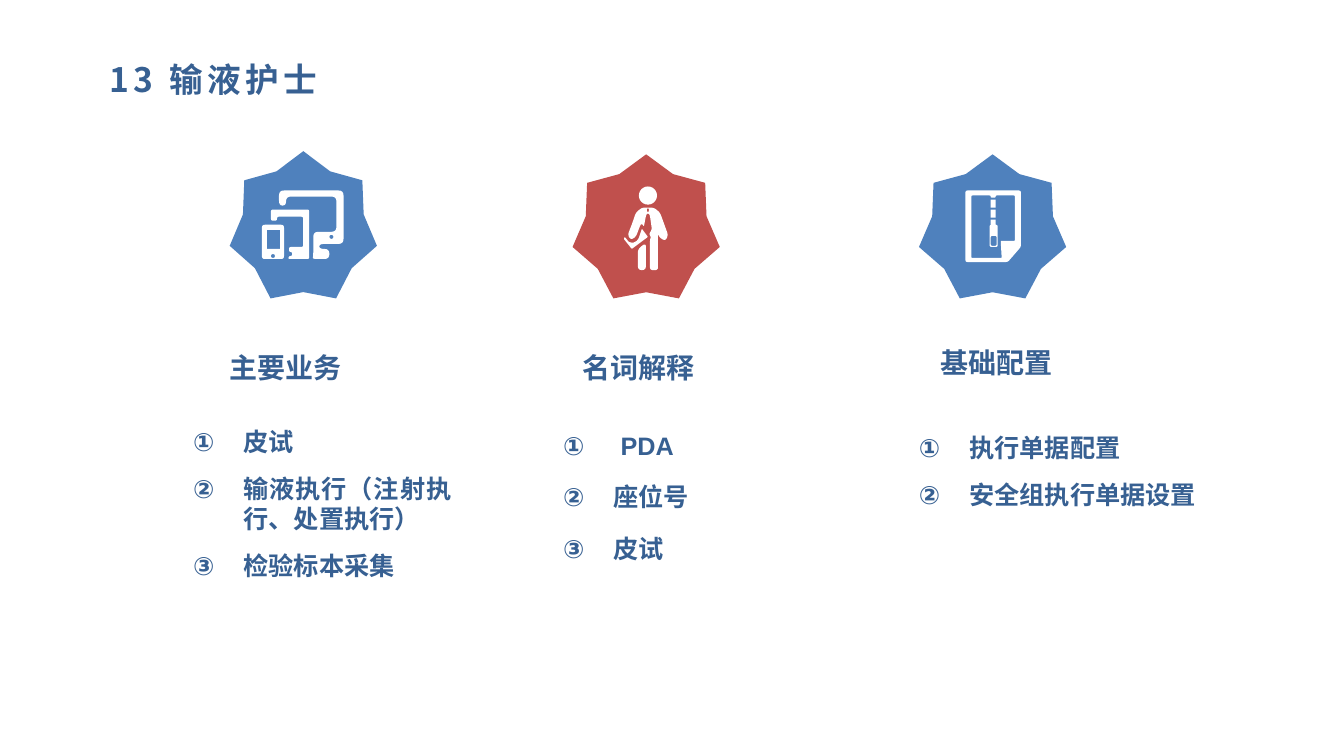
from math import cos, pi, sin

from lxml.etree import SubElement as Sub
from pptx import Presentation
from pptx.dml.color import RGBColor as RGB
from pptx.enum.shapes import MSO_SHAPE as Kind
from pptx.enum.text import PP_ALIGN as Align
from pptx.oxml.ns import qn
from pptx.util import Cm, Pt

COLORS = {"text": "376092", "blue": "4F81BD", "red": "C0504D", "white": "FFFFFF"}
NOTO, ARIAL = "Noto Sans CJK SC", "Arial"
UNIT = Cm(0.0254)  # grid step of the icons


def tint(name):
    return RGB.from_string(COLORS[name])


def disc(x, y, r, steps=24):
    turns = [2 * pi * k / steps for k in range(steps)]
    return [(x + r * cos(a), y + r * sin(a)) for a in turns]


def bend(points, r=2, steps=4):
    """Round the corners of a polygon by at most r."""
    out = []
    for k, (x, y) in enumerate(points):
        ends = []
        for u, v in (points[k - 1], points[(k + 1) % len(points)]):
            size = ((u - x) ** 2 + (v - y) ** 2) ** 0.5
            part = min(r / size, 0.5)
            ends.append((x + (u - x) * part, y + (v - y) * part))
        (ax, ay), (bx, by) = ends
        for t in (i / steps for i in range(steps + 1)):
            p, q, s = (1 - t) ** 2, 2 * t * (1 - t), t * t
            out.append((p * ax + q * x + s * bx, p * ay + q * y + s * by))
    return out


def rect(x, y, w, h, r=0):
    points = [(x, y), (x + w, y), (x + w, y + h), (x, y + h)]
    return bend(points, r) if r else points


def screens():
    tablet = [(9, 30), (9, 19), (47, 19), (47, 68), (26, 68), (27, 65), (30, 65),
              (30, 61), (27, 61), (27, 56), (41, 56), (41, 26), (15, 26), (15, 30)]
    screen = [(17, 15), (17, 0), (81, 0), (81, 53), (57, 53), (57, 58), (67, 58),
              (67, 68), (50, 68), (51, 65), (51, 41), (74, 41), (74, 6), (24, 6),
              (24, 15)]
    return [rect(0, 34, 22, 34, 3), rect(5, 39, 13, 19), disc(11, 65, 2),
            bend(tablet), bend(screen, 5), disc(69, 46, 2)]


def person():
    leg = [(14, 62), (22, 56), (22, 83), (14, 83)]
    board = [(18, 42), (24, 50), (8, 62), (0, 52), (1, 50), (5, 55), (9, 56),
             (13, 54), (15, 51)]
    body = [(18, 21), (30, 21), (36, 26), (44, 48), (42, 53), (39, 53), (35, 50),
            (34, 46), (34, 83), (26, 83), (26, 53), (27, 50), (25, 47), (28, 43),
            (26, 29), (25, 27), (23, 27), (22, 29), (20, 40), (19, 38), (17, 37),
            (12, 50), (7, 53), (4, 48), (9, 35), (12, 26)]
    return [disc(24, 9, 9), bend(leg, 4), bend(board, 1), bend(body, 3),
            rect(23, 22, 2, 3)]


def archive():
    page = [(0, 0), (55, 0), (55, 56), (42, 71), (0, 71)]
    inner = [(6, 5), (25, 5), (25, 7), (30, 7), (30, 5), (49, 5), (49, 50),
             (35, 50), (36, 67), (6, 67)]
    teeth = [rect(25, y, 5, h) for y, h in ((9, 8), (19, 8), (29, 5))]
    return [bend(page), bend(inner, 1), *teeth, rect(24, 34, 8, 22, 2),
            rect(25, 45, 6, 10, 2)]


def paint(shape, color):
    shape.shadow.inherit = False
    shape.fill.solid()
    shape.fill.fore_color.rgb = tint(color)
    shape.line.fill.background()


def draw(shapes, paths, left, top):
    pen = None
    for path in paths:
        (x, y), *rest = [(px * UNIT, py * UNIT) for px, py in path]
        if pen is None:
            pen = shapes.build_freeform(x, y, scale=1.0)
        else:
            pen.move_to(x, y)
        pen.add_line_segments(rest, close=True)
    paint(pen.convert_to_shape(Cm(left), Cm(top)), "white")


def badge(slide, box, color, icon, shift):
    shapes = slide.shapes.add_group_shape().shapes
    star = shapes.add_shape(Kind.STAR_7_POINT, *map(Cm, box))
    star.adjustments[0] = 0.41
    paint(star, color)
    draw(shapes, icon(), box[0] + shift[0], box[1] + shift[1])


def write(para, text, size, face, gap=0):
    run = para.add_run()
    run.text = text
    for key, value in {"size": Pt(size), "bold": True, "name": face}.items():
        setattr(run.font, key, value)
    run.font.color.rgb = tint("text")
    props = run.font._element
    Sub(props, qn("a:ea")).set("typeface", face)
    if gap:
        props.set("spc", str(gap * 100))


def frame(slide, box, wrap=True):
    body = slide.shapes.add_textbox(*map(Cm, box)).text_frame
    body.word_wrap = wrap
    return body


def label(slide, box, text, size=20, gap=0, wrap=False):
    write(frame(slide, box, wrap).paragraphs[0], text, size, NOTO, gap)


def steps(slide, box, items, before=6, align=None, first=1.27):
    """Numbered list; first is the text indent of its first item."""
    body = frame(slide, box)
    for k, text in enumerate(items):
        para = body.add_paragraph() if k else body.paragraphs[0]
        props = para._p.get_or_add_pPr()
        indent = Cm(1.27 if k else first)
        props.set("marL", str(indent))
        props.set("indent", str(-indent))
        Sub(props, qn("a:buAutoNum")).set("type", "circleNumDbPlain")
        form = {"space_after": Pt(6), "alignment": align}
        if k:
            form["space_before"] = Pt(before)
        for key, value in form.items():
            setattr(para, key, value)
        write(para, text, 18, ARIAL)


def column(slide, box, color, icon, shift, title, head, items, area, **form):
    """Badge in box, with head and area as offsets and sizes from its corner."""
    left, top = box[:2]
    badge(slide, box, color, icon, shift)
    label(slide, (left + head[0], top + head[1], *head[2:]), title)
    steps(slide, (left + area[0], top + area[1], *area[2:]), items, **form)


def main():
    deck = Presentation()
    deck.slide_width, deck.slide_height = Cm(33.87), Cm(19.05)
    slide = deck.slides.add_slide(deck.slide_layouts[6])
    label(slide, (2.52, 1.35, 25.67, 1.47), "13 输液护士", 24, 3, True)
    column(slide, (5.79, 3.81, 3.71, 3.71), "blue", screens, (0.81, 0.99),
           "主要业务", (-0.25, 4.9, 6.1, 0.97),
           ["皮试", "输液执行（注射执行、处置执行）", "检验标本采集"],
           (-1.17, 6.81, 7.01, 4.19), align=Align.JUSTIFY)
    column(slide, (14.43, 3.89, 3.71, 3.63), "red", person, (1.29, 0.81),
           "名词解释", (0, 4.82, 5.49, 0.97), ["PDA", "座位号", "皮试"],
           (-0.49, 6.83, 7.85, 8.33), before=9, first=1.45)
    column(slide, (23.16, 3.89, 3.71, 3.63), "blue", archive, (1.17, 0.91),
           "基础配置", (0.28, 4.7, 4.75, 1.02),
           ["执行单据配置", "安全组执行单据设置"], (-0.25, 6.88, 8.2, 5.97))
    deck.save("out.pptx")


if __name__ == "__main__":
    main()
